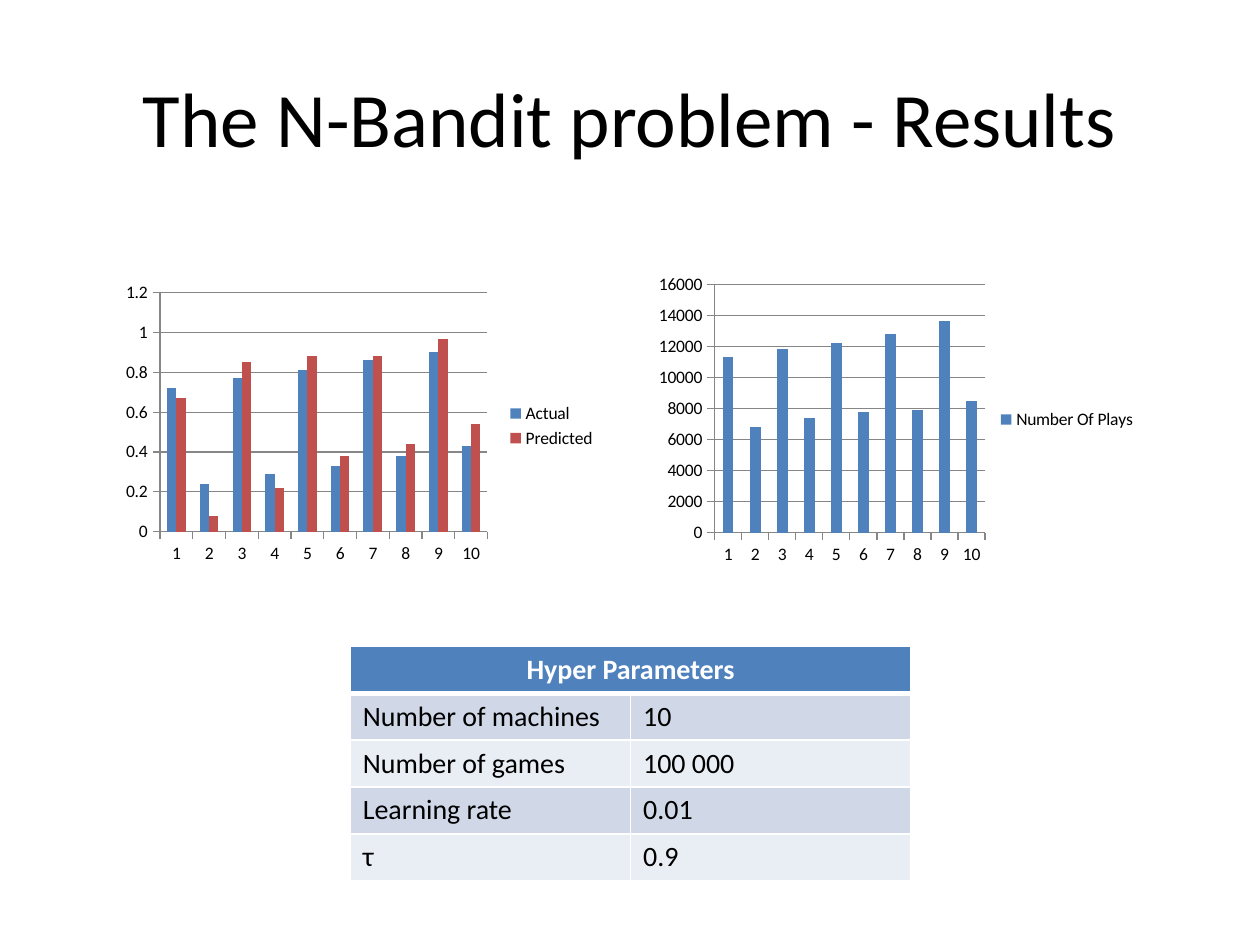
from lxml.etree import SubElement
from pptx import Presentation
from pptx.chart.data import CategoryChartData
from pptx.dml.color import RGBColor
from pptx.enum.chart import XL_CHART_TYPE as ChartType, XL_LEGEND_POSITION as LegendPos, XL_TICK_MARK as Tick
from pptx.enum.text import MSO_ANCHOR as Anchor, PP_ALIGN as Align
from pptx.oxml.ns import qn
from pptx.util import Inches, Pt

THEME = {
    "font": "Calibri", "title": 44, "table": 16, "chart": 10,
    "black": "000000", "white": "FFFFFF", "grid": "868686",
    "blue": "4F81BD", "red": "C0504D", "bands": ("D0D8E8", "E9EDF4"),
}
TITLE = "The N-Bandit problem - Results"
MACHINES = [str(number) for number in range(1, 11)]
CHARTS = [
    {"at": (0.83, 2.18, 4, 2.4), "plot": (0.11, 0.06, 0.65, 0.79), "format": "General",
     "series": [
         ("Actual", "blue", (0.72, 0.24, 0.77, 0.29, 0.81, 0.33, 0.86, 0.38, 0.9, 0.43)),
         ("Predicted", "red", (0.67, 0.08, 0.85, 0.22, 0.88, 0.38, 0.88, 0.44, 0.97, 0.54)),
     ]},
    {"at": (5.15, 2.13, 3.97, 2.4), "plot": None, "format": "General",
     "series": [
         ("Number Of Plays", "blue",
          (11300, 6800, 11800, 7400, 12200, 7800, 12800, 7900, 13600, 8500)),
     ]},
]
TABLE_AT = (2.78, 5.13, 4.45, 1.83)
TABLE_HEADING = "Hyper Parameters"
PARAMETERS = [
    ("Number of machines", "10"),
    ("Number of games", "100 000"),
    ("Learning rate", "0.01"),
    ("τ", "0.9"),
]


def color(name):
    return RGBColor.from_string(THEME.get(name, name))


def style_font(font, size, ink, bold=False):
    font.name = THEME["font"]
    font.size = Pt(THEME[size])
    font.bold = bold
    font.color.rgb = color(ink)


def write(frame, words, size, ink, align, bold=False):
    paragraph = frame.paragraphs[0]
    paragraph.alignment = align
    run = paragraph.add_run()
    run.text = words
    style_font(run.font, size, ink, bold)


def set_plot_area(chart, bounds):
    plot_area = chart._chartSpace.chart.plotArea
    layout = plot_area.find(qn("c:layout"))
    if layout is None:
        layout = SubElement(plot_area, qn("c:layout"))
        plot_area.insert(0, layout)
    manual = SubElement(layout, qn("c:manualLayout"))
    settings = [("layoutTarget", "inner"), ("xMode", "edge"), ("yMode", "edge")]
    for tag, value in settings + list(zip("xywh", bounds)):
        SubElement(manual, qn(f"c:{tag}")).set("val", str(value))


def add_column_chart(slide, content):
    chart_data = CategoryChartData(number_format=content["format"])
    chart_data.categories = MACHINES
    for name, _, values in content["series"]:
        chart_data.add_series(name, values)
    chart = slide.shapes.add_chart(
        ChartType.COLUMN_CLUSTERED, *map(Inches, content["at"]), chart_data).chart
    style_font(chart.font, "chart", "black")
    chart.has_title = False
    chart.has_legend = True
    chart.legend.position = LegendPos.RIGHT
    chart.legend.include_in_layout = False
    plot = chart.plots[0]
    plot.gap_width = 150
    plot.overlap = 0
    plot.vary_by_categories = False
    for series, (_, fill, _) in zip(plot.series, content["series"]):
        series.format.fill.solid()
        series.format.fill.fore_color.rgb = color(fill)
    for axis in (chart.category_axis, chart.value_axis):
        axis.major_tick_mark = Tick.OUTSIDE
        axis.minor_tick_mark = Tick.NONE
        axis.format.line.color.rgb = color("grid")
    chart.value_axis.has_major_gridlines = True
    chart.value_axis.major_gridlines.format.line.color.rgb = color("grid")
    if content["plot"]:
        set_plot_area(chart, content["plot"])


def format_cell(cell, fill, bottom=1):
    properties = cell._tc.get_or_add_tcPr()
    for side, width in (("L", 1), ("R", 1), ("T", 1), ("B", bottom)):
        line = SubElement(properties, qn(f"a:ln{side}"), w=str(Pt(width)))
        solid = SubElement(line, qn("a:solidFill"))
        SubElement(solid, qn("a:srgbClr"), val=THEME["white"])
    cell.fill.solid()
    cell.fill.fore_color.rgb = color(fill)


def add_parameter_table(slide):
    row_count = len(PARAMETERS) + 1
    table = slide.shapes.add_table(row_count, 2, *map(Inches, TABLE_AT)).table
    heading = table.cell(0, 0)
    heading.merge(table.cell(0, 1))
    heading.vertical_anchor = Anchor.MIDDLE
    write(heading.text_frame, TABLE_HEADING, "table", "white", Align.CENTER, True)
    for cell in (heading, table.cell(0, 1)):
        format_cell(cell, "blue", bottom=3)
    for row, entry in enumerate(PARAMETERS, 1):
        for column, words in enumerate(entry):
            cell = table.cell(row, column)
            write(cell.text_frame, words, "table", "black", Align.LEFT)
            format_cell(cell, THEME["bands"][(row - 1) % 2])


def main():
    deck = Presentation()
    deck.slide_width, deck.slide_height = Inches(10), Inches(7.5)
    slide = deck.slides.add_slide(deck.slide_layouts[5])
    title = slide.shapes.title
    title.left, title.top, title.width, title.height = map(Inches, (0.5, 0.3, 9, 1.25))
    title.text_frame.vertical_anchor = Anchor.MIDDLE
    write(title.text_frame, TITLE, "title", "black", Align.CENTER)
    add_parameter_table(slide)
    for content in CHARTS:
        add_column_chart(slide, content)
    deck.save("out.pptx")


if __name__ == "__main__":
    main()
